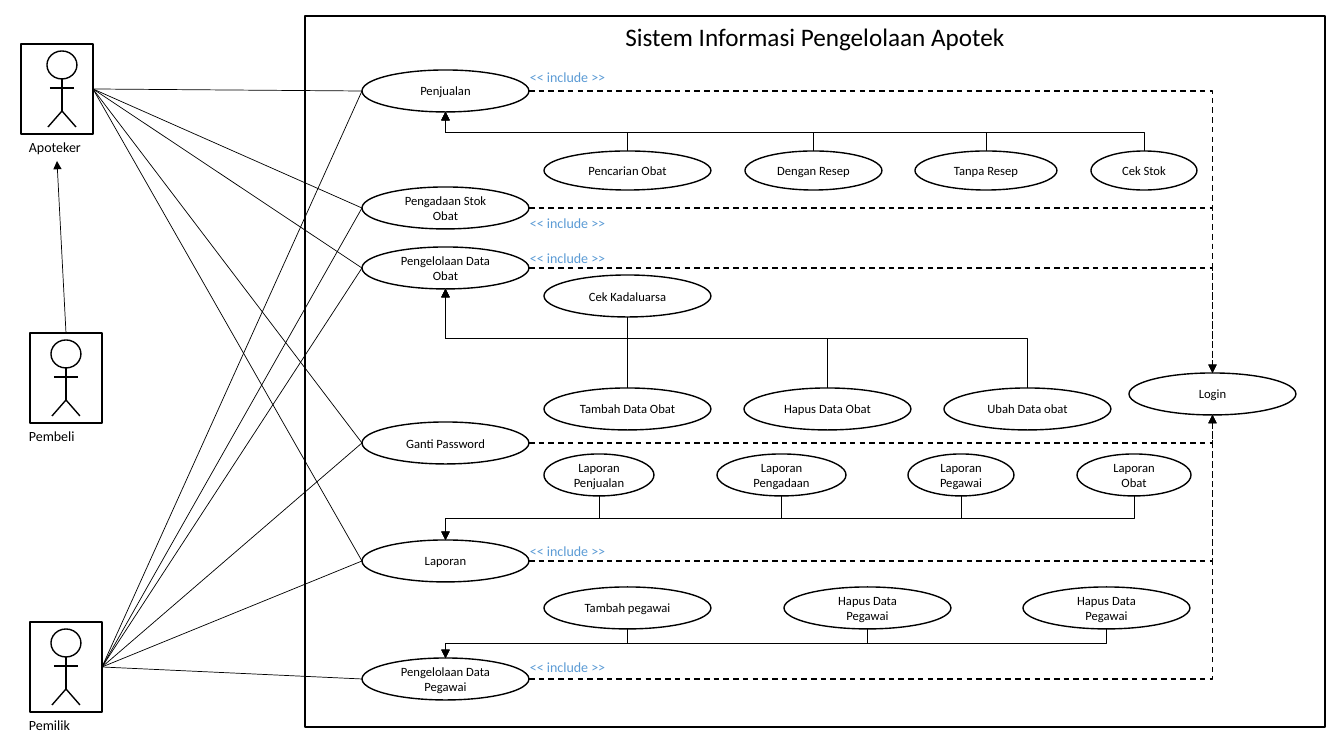
from dataclasses import dataclass
from lxml.etree import SubElement
from pptx import Presentation
from pptx.dml.color import RGBColor
from pptx.enum.dml import MSO_LINE
from pptx.enum.shapes import MSO_CONNECTOR as CXN, MSO_SHAPE as SHAPE
from pptx.enum.text import MSO_ANCHOR as ANCHOR, MSO_AUTO_SIZE as AUTO, PP_ALIGN as ALIGN
from pptx.oxml.ns import qn
from pptx.util import Emu, Pt

PX = 914400 / 100.8
SIDES = ("top", "left", "bottom", "right")


def px(n):
    return Emu(round(n * PX))


@dataclass(frozen=True)
class Theme:
    font: str = "Calibri"
    ink: RGBColor = RGBColor(0, 0, 0)
    paper: RGBColor = RGBColor(255, 255, 255)
    accent: RGBColor = RGBColor(0x5B, 0x9B, 0xD5)
    title: Pt = Pt(18)
    label: Pt = Pt(10)
    case: Pt = Pt(9)
    thick: Pt = Pt(1)
    thin: Pt = Pt(0.5)


class Diagram:
    def __init__(self, slide, theme):
        self.slide, self.shapes, self.theme = slide, slide.shapes, theme

    def put_text(self, sp, text, size, color=None, align=ALIGN.CENTER, **frame):
        tf = sp.text_frame
        for name, value in frame.items():
            setattr(tf, name, value)
        p = tf.paragraphs[0]
        p.alignment = align
        r = p.add_run()
        r.text = text
        style = {"name": self.theme.font, "size": size, "bold": False}
        for name, value in style.items():
            setattr(r.font, name, value)
        r.font.color.rgb = color or self.theme.ink

    def outline(self, sp, width):
        sp.line.color.rgb = self.theme.ink
        sp.line.width = width

    def frame(self, text, x, y, w, h):
        """Use the title placeholder as the system boundary."""
        sp = self.shapes.title
        place = {"left": x, "top": y, "width": w, "height": h}
        for name, value in place.items():
            setattr(sp, name, px(value))
        self.outline(sp, self.theme.thick)
        self.put_text(sp, text, self.theme.title, word_wrap=True,
                      vertical_anchor=ANCHOR.TOP, auto_size=AUTO.NONE)

    def shape(self, kind, x, y, w, h, fill=None):
        sp = self.shapes.add_shape(kind, px(x), px(y), px(w), px(h))
        sp.shadow.inherit = False
        if fill is None:
            sp.fill.background()
        else:
            sp.fill.solid()
            sp.fill.fore_color.rgb = fill
        self.outline(sp, self.theme.thick)
        return sp

    def use_case(self, text, x, y, w=167, h=42):
        sp = self.shape(SHAPE.OVAL, x, y, w, h, self.theme.paper)
        self.put_text(sp, text, self.theme.case, vertical_anchor=ANCHOR.MIDDLE)
        return sp

    def label(self, text, x, y, w, color=None):
        sp = self.shapes.add_textbox(px(x), px(y), px(w), px(27))
        self.put_text(sp, text, self.theme.label, color, ALIGN.LEFT, word_wrap=False)
        return sp

    def connector(self, kind, start, end, width, dashed=False, arrow=False):
        c = self.shapes.add_connector(kind, *start, *end)
        self.outline(c, width)
        if dashed:
            c.line.dash_style = MSO_LINE.DASH
        if arrow:
            SubElement(c.get_or_add_ln(), qn("a:tailEnd"), type="triangle")
        SubElement(c._element.spPr, qn("a:effectLst"))
        return c

    def actor(self, name, x, y, center, label_width):
        """Draw a boxed stick figure; return its box and its label."""
        label = self.label(name, 19, y + 90, label_width)
        cx = x + center
        self.shape(SHAPE.OVAL, cx - 15, y + 7, 30, 28)
        limbs = ((0, 35, 0, 67), (0, 67, 14, 83), (0, 67, -14, 83), (-12, 44, 12, 44))
        for x1, y1, x2, y2 in limbs:
            self.connector(CXN.STRAIGHT, (px(cx + x1), px(y + y1)),
                           (px(cx + x2), px(y + y2)), self.theme.thick)
        return self.shape(SHAPE.RECTANGLE, x, y, 72, 90), label

    @staticmethod
    def site(sp, side):
        dx, dy = {"top": (1, 0), "left": (0, 1), "bottom": (1, 2), "right": (2, 1)}[side]
        return sp.left + sp.width * dx // 2, sp.top + sp.height * dy // 2

    @staticmethod
    def glue(c, tag, sp, side):
        step = 2 if sp._element.spPr.prstGeom.get("prst") == "ellipse" else 1
        SubElement(c._element.nvCxnSpPr.cNvCxnSpPr, qn(tag), id=str(sp.shape_id),
                   idx=str(SIDES.index(side) * step))

    def glue_both(self, c, a, a_side, b, b_side):
        self.glue(c, "a:stCxn", a, a_side)
        self.glue(c, "a:endCxn", b, b_side)

    def link(self, a, a_side, b, b_side, **style):
        c = self.connector(CXN.STRAIGHT, self.site(a, a_side), self.site(b, b_side),
                           self.theme.thin, **style)
        self.glue_both(c, a, a_side, b, b_side)

    def include(self, case, login):
        """Dashed corner from the right of a use case to the login."""
        side = "top" if case.top < login.top else "bottom"
        c = self.connector(CXN.ELBOW, self.site(case, "right"), self.site(login, side),
                           self.theme.thick, dashed=True, arrow=True)
        c._element.spPr.prstGeom.set("prst", "bentConnector2")
        self.glue_both(c, case, "right", login, side)

    def branch(self, child, parent, bus, child_side):
        """Vertical elbow from a child, along the height bus, to its parent on the left."""
        side = "bottom" if child.top > parent.top else "top"
        (x1, y1), (x2, y2) = self.site(child, child_side), self.site(parent, side)
        w, h = abs(y2 - y1), x1 - x2
        left, top = (x1 + x2 - w) // 2, (y1 + y2 - h) // 2
        c = self.connector(CXN.ELBOW, (left, top), (left + w, top + h),
                           self.theme.thin, arrow=True)
        xfrm = c._element.spPr.find(qn("a:xfrm"))
        xfrm.set("rot", str((90 if y2 > y1 else 270) * 60000))
        if y2 < y1:
            xfrm.set("flipV", "1")
        bend = round((px(bus) - y1) / (y2 - y1) * 100000)
        guides = c._element.spPr.prstGeom.get_or_add_avLst()
        SubElement(guides, qn("a:gd"), name="adj1", fmla=f"val {bend}")
        self.glue_both(c, child, child_side, parent, side)


CASES = (("Penjualan", 70), ("Pengadaan Stok Obat", 187), ("Pengelolaan Data Obat", 247),
         ("Ganti Password", 422), ("Laporan", 540), ("Pengelolaan Data Pegawai", 658))
# parent, bus height, child side, top, height, (text, left, width)
BRANCHES = (
    ("Penjualan", 132, "top", 151, 39,
     (("Pencarian Obat", 544, 167), ("Dengan Resep", 745, 137),
      ("Tanpa Resep", 915, 142), ("Cek Stok", 1091, 106))),
    ("Pengelolaan Data Obat", 338, "bottom", 275, 42, (("Cek Kadaluarsa", 544, 167),)),
    ("Pengelolaan Data Obat", 338, "top", 388, 42,
     (("Tambah Data Obat", 544, 167), ("Hapus Data Obat", 744, 167),
      ("Ubah Data obat", 944, 167))),
    ("Laporan", 518, "bottom", 454, 42,
     (("Laporan Penjualan", 544, 110), ("Laporan Pengadaan", 717, 129),
      ("Laporan Pegawai", 908, 106), ("Laporan Obat", 1077, 114))),
    ("Pengelolaan Data Pegawai", 643, "bottom", 587, 42,
     (("Tambah pegawai", 544, 167), ("Hapus Data Pegawai", 784, 167),
      ("Hapus Data Pegawai", 1023, 167))),
)


def main():
    prs = Presentation()
    prs.slide_width, prs.slide_height = px(1344), px(756)
    d = Diagram(prs.slides.add_slide(prs.slide_layouts[5]), Theme())
    d.frame("Sistem Informasi Pengelolaan Apotek", 305, 16, 1020, 711)

    apoteker, apoteker_label = d.actor("Apoteker", 21, 44, 41, 76)
    pembeli, _ = d.actor("Pembeli", 30, 333, 36, 69)
    pemilik, _ = d.actor("Pemilik", 30, 622, 36, 64)

    cases = {text: d.use_case(text, 362, y) for text, y in CASES}
    login = d.use_case("Login", 1129, 373)
    for case in cases.values():
        d.include(case, login)

    d.link(pembeli, "top", apoteker_label, "bottom", arrow=True)
    for text, case in cases.items():
        if text != "Pengelolaan Data Pegawai":
            d.link(case, "left", apoteker, "right")
        d.link(case, "left", pemilik, "right")

    for parent, bus, side, y, h, children in BRANCHES:
        for text, x, w in children:
            d.branch(d.use_case(text, x, y, w, h), cases[parent], bus, side)

    for y in (64, 210, 245, 538, 654):
        d.label("<< include >>", 520, y, 99, d.theme.accent)
    prs.save("out.pptx")


if __name__ == "__main__":
    main()
